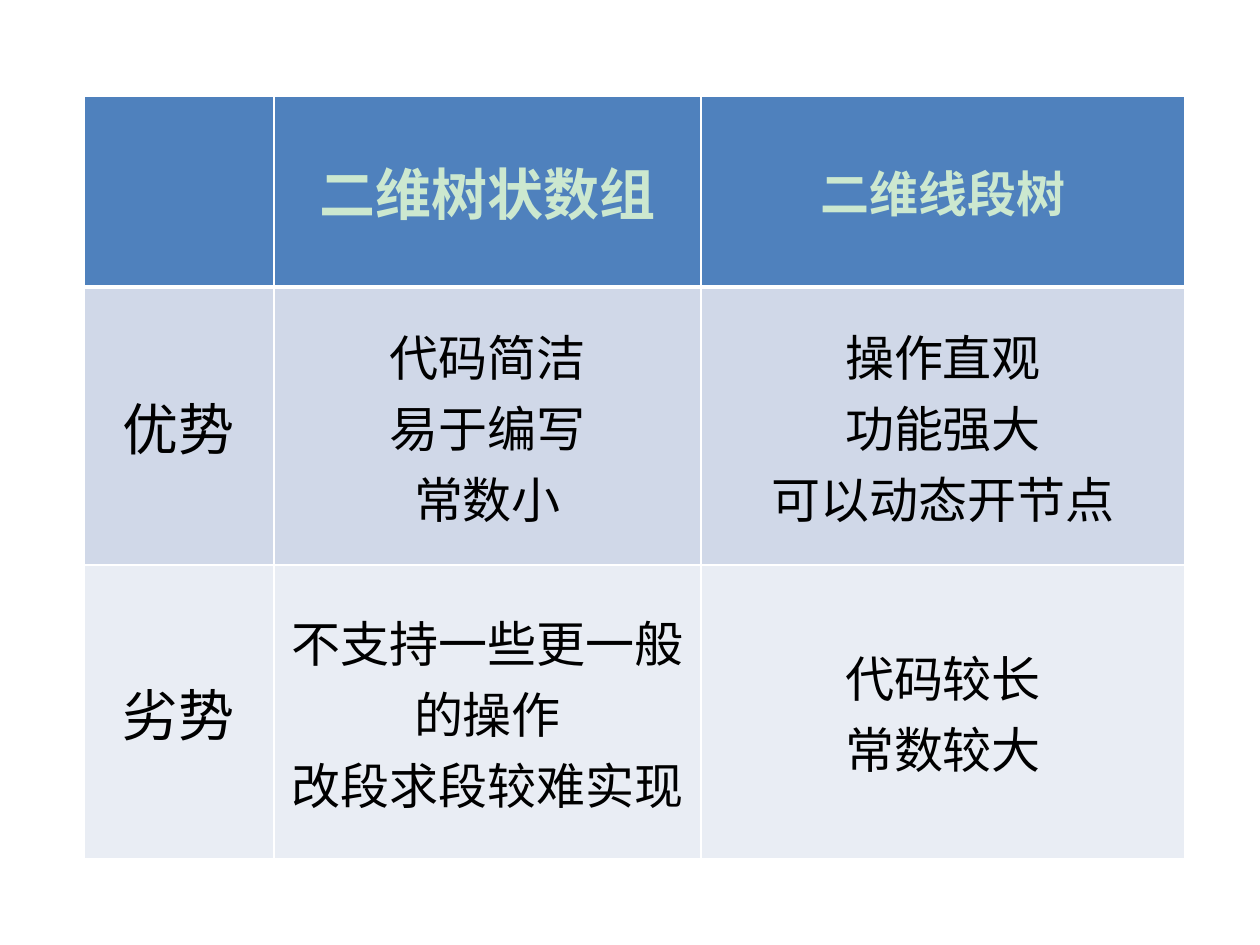
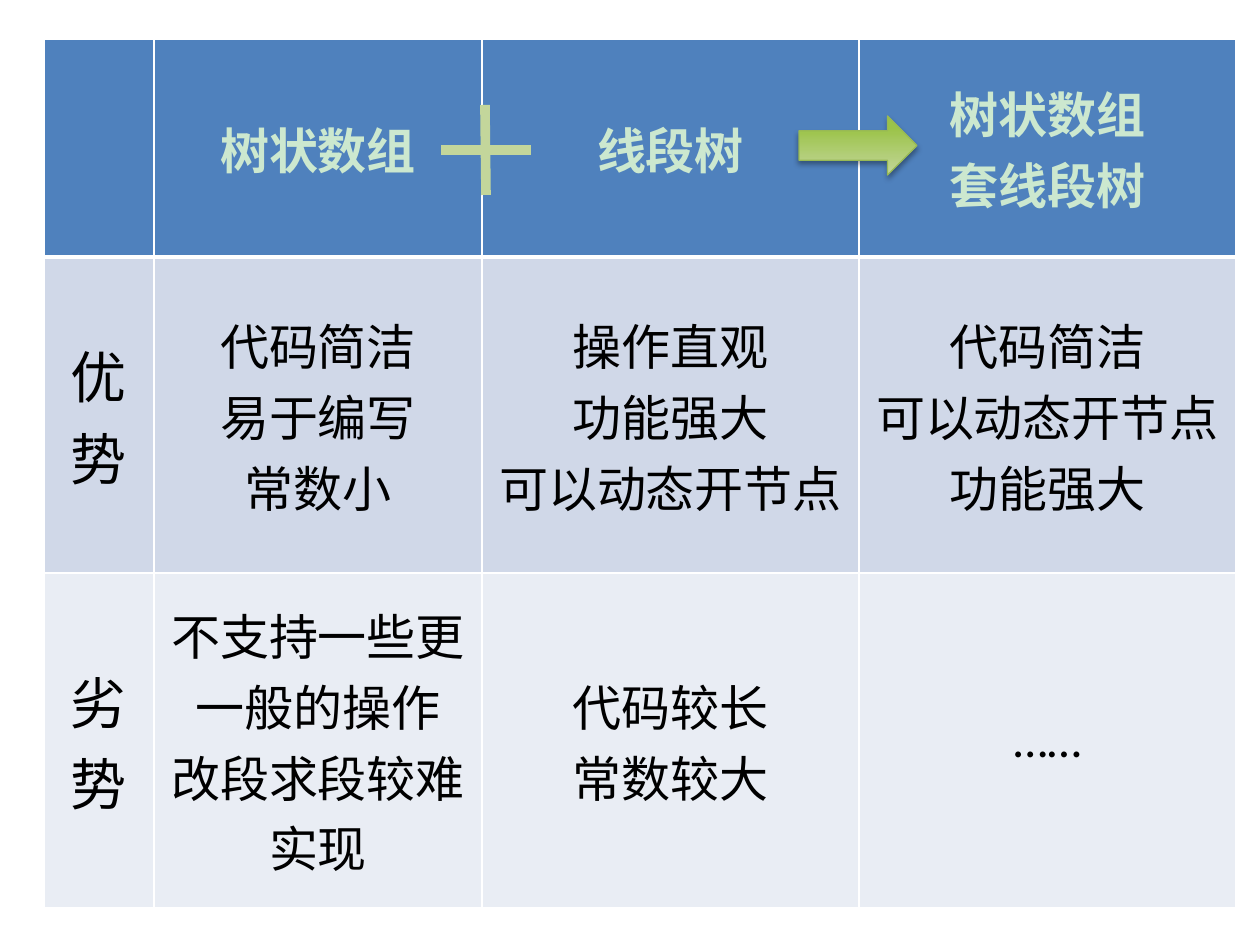
from lxml.etree import SubElement
from pptx import Presentation
from pptx.dml.color import RGBColor
from pptx.enum.shapes import MSO_CONNECTOR as CONN, MSO_SHAPE as SHAPE
from pptx.enum.text import MSO_ANCHOR as ANCHOR, PP_ALIGN as ALIGN
from pptx.oxml.ns import qn
from pptx.util import Emu, Pt

# Shared look
FONT = "Calibri"
WHITE = RGBColor(0xFF, 0xFF, 0xFF)
BLACK = RGBColor(0, 0, 0)
MINT = RGBColor(0xCC, 0xE8, 0xCF)
BLUE = RGBColor(0x4F, 0x81, 0xBD)
BAND_DARK = RGBColor(0xD0, 0xD8, 0xE8)
BAND_LIGHT = RGBColor(0xE9, 0xED, 0xF4)
PALE_GREEN = RGBColor(0xC3, 0xD6, 0x9B)
GREEN = RGBColor(0x9B, 0xC3, 0x48)
GREEN_EDGE = RGBColor(0x98, 0xB9, 0x55)
ROW_FILLS = (BLUE, BAND_DARK, BAND_LIGHT)

# Cell texts that both comparisons use
BIT_PROS = "代码简洁\n易于编写\n常数小"
BIT_CONS = "不支持一些更一般的操作\n改段求段较难实现"
SEG_PROS = "操作直观\n功能强大\n可以动态开节点"
SEG_CONS = "代码较长\n常数较大"


def px(n):
    return Emu(round(n * 914400 / 126))


def write(tf, text, size=28, color=BLACK, bold=False):
    """Fill a text frame with one centred paragraph per line."""
    for i, line in enumerate(text.split("\n")):
        p = tf.paragraphs[0] if i == 0 else tf.add_paragraph()
        p.alignment = ALIGN.CENTER
        r = p.add_run()
        r.text = line
        r.font.name, r.font.size, r.font.bold = FONT, Pt(size), bold
        r.font.color.rgb = color


def add_borders(cell, top, bottom):
    tcPr = cell._tc.get_or_add_tcPr()
    for side, width in (("L", 1), ("R", 1), ("T", top), ("B", bottom)):
        ln = SubElement(tcPr, qn(f"a:ln{side}"), w=str(Pt(width)))
        fill = SubElement(ln, qn("a:solidFill"))
        SubElement(fill, qn("a:srgbClr"), val=str(WHITE))


def add_comparison(s, x, y, cols, rows, texts, large=()):
    """Draw a table; the cells in large and the row labels are set at 32 pt."""
    table = s.shapes.add_table(len(rows), len(cols), px(x), px(y),
                               px(sum(cols)), px(sum(rows))).table
    for col, width in zip(table.columns, cols):
        col.width = px(width)
    for i, height in enumerate(rows):
        table.rows[i].height = px(height)
        for j, text in enumerate(texts[i]):
            cell = table.cell(i, j)
            cell.vertical_anchor = ANCHOR.MIDDLE
            add_borders(cell, top=3 if i == 1 else 1, bottom=3 if i == 0 else 1)
            cell.fill.solid()
            cell.fill.fore_color.rgb = ROW_FILLS[i]
            if text:
                write(cell.text_frame, text,
                      size=32 if j == 0 or (i, j) in large else 28,
                      color=MINT if i == 0 else BLACK, bold=i == 0)


def add_arrow(s, x, y, w, h):
    sp = s.shapes.add_shape(SHAPE.RIGHT_ARROW, px(x), px(y), px(w), px(h))
    sp.fill.gradient()
    sp.fill.gradient_angle = 90
    for stop, color, pos in zip(sp.fill.gradient_stops, (PALE_GREEN, GREEN), (0, 0.8)):
        stop.color.rgb, stop.position = color, pos
    sp.line.color.rgb, sp.line.width = GREEN_EDGE, Pt(0.75)
    # Soft shadow straight below
    sp.shadow.inherit = False
    effects = sp._element.spPr.find(qn("a:effectLst"))
    shadow = SubElement(effects, qn("a:outerShdw"), blurRad=str(Pt(3.1)),
                        dist=str(Pt(1.8)), dir="5400000", rotWithShape="0")
    color = SubElement(shadow, qn("a:srgbClr"), val=str(BLACK))
    SubElement(color, qn("a:alpha"), val="35000")


def add_line(s, x1, y1, x2, y2):
    line = s.shapes.add_connector(CONN.STRAIGHT, px(x1), px(y1), px(x2), px(y2))
    line.line.color.rgb, line.line.width = PALE_GREEN, Pt(5.5)
    SubElement(line._element.spPr, qn("a:effectLst"))


def add_slide(prs):
    s = prs.slides.add_slide(prs.slide_layouts[6])
    s.background.fill.solid()
    s.background.fill.fore_color.rgb = WHITE
    return s


def main():
    prs = Presentation()
    prs.slide_width, prs.slide_height = px(1260), px(945)

    # Two-dimensional structures
    s = add_slide(prs)
    add_comparison(s, 84, 96, (190, 427, 484), (191, 278, 294), (
        ("", "二维树状数组", "二维线段树"),
        ("优势", BIT_PROS, SEG_PROS),
        ("劣势", BIT_CONS, SEG_CONS),
    ), large={(0, 1)})

    # Combined structure
    s = add_slide(prs)
    add_comparison(s, 44, 39, (110, 328, 377, 377), (218, 316, 335), (
        ("", "树状数组", "线段树", "树状数组\n套线段树"),
        ("优势", BIT_PROS, SEG_PROS, "代码简洁\n可以动态开节点\n功能强大"),
        ("劣势", BIT_CONS, SEG_CONS, "……"),
    ))
    add_arrow(s, 799, 116, 118, 59)
    # Plus sign
    add_line(s, 441, 150, 531, 150)
    add_line(s, 486, 195, 485, 105)

    prs.save("out.pptx")


if __name__ == "__main__":
    main()
